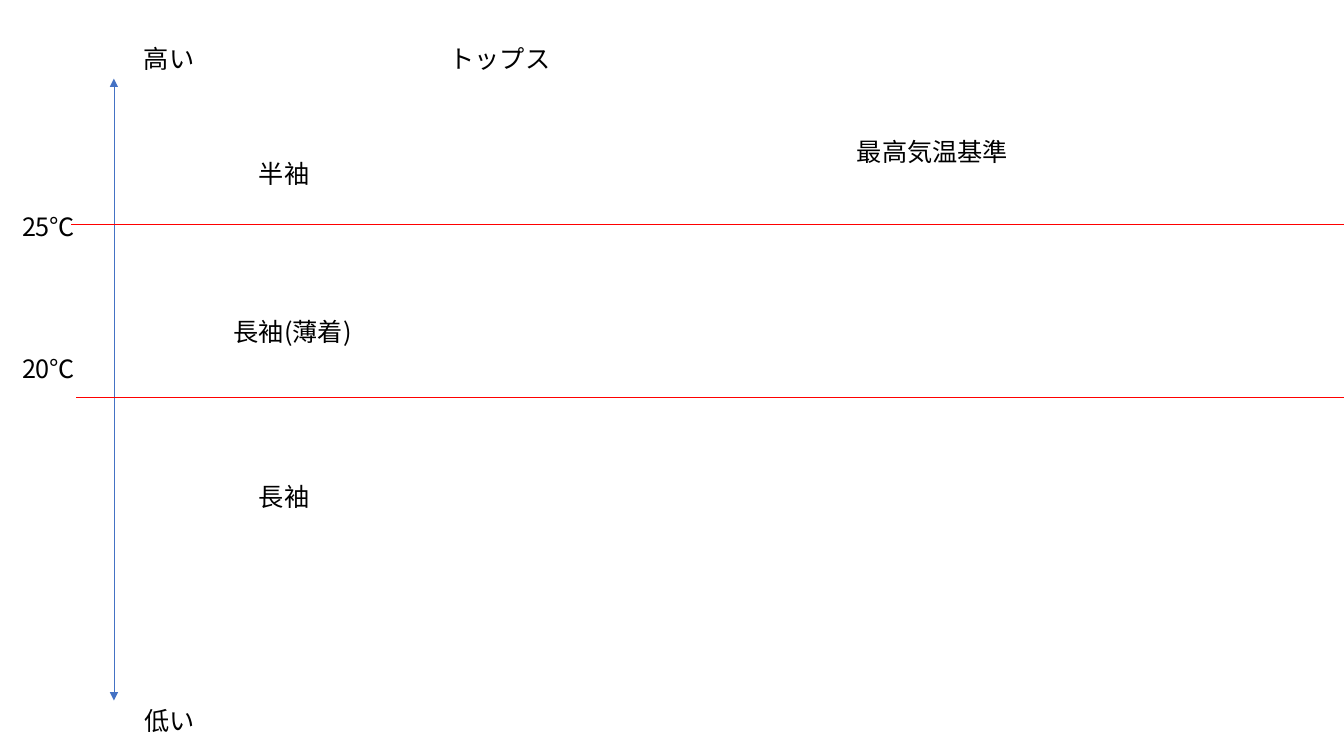
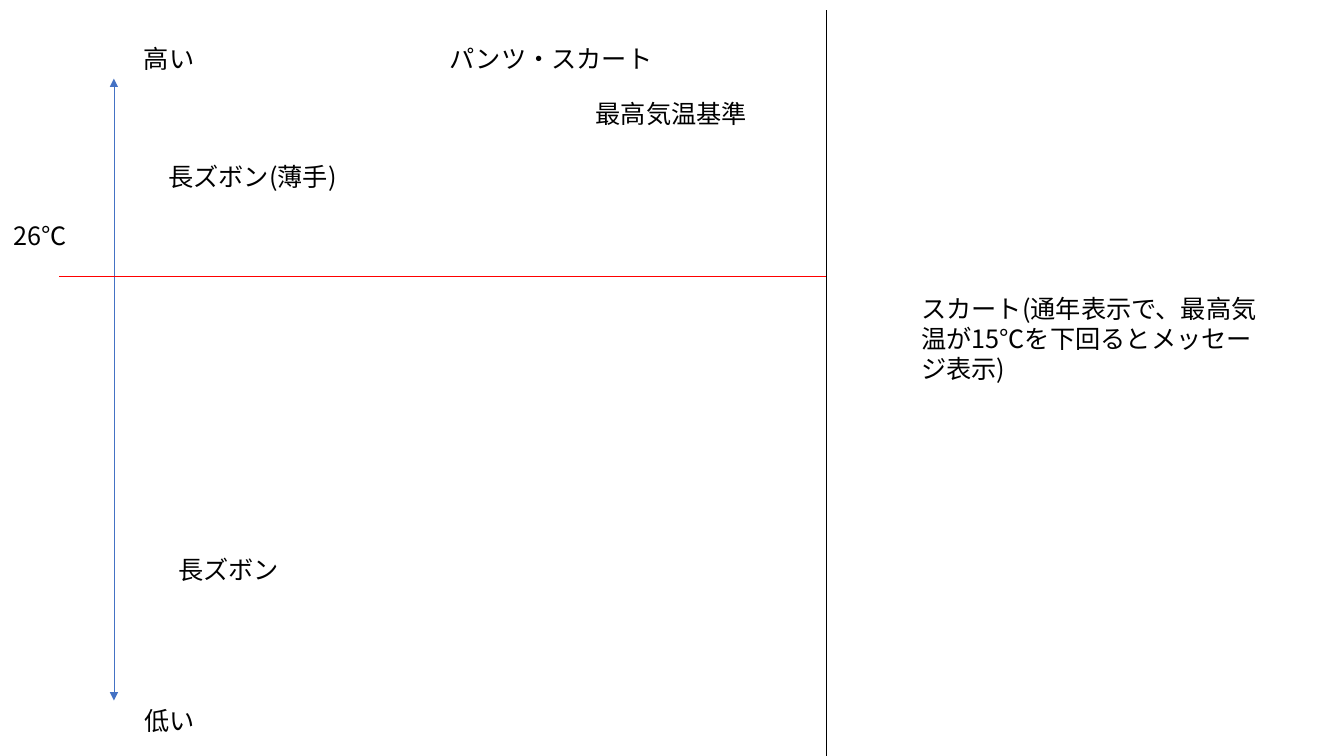
from lxml import etree
from pptx import Presentation, util as u
from pptx.dml.color import RGBColor
from pptx.enum import shapes, text
from pptx.oxml.ns import qn

WIDE, HIGH = 13.33, 7.5
FONT = "Noto Sans CJK JP"
BLACK, BLUE, RED = "000000", "4472C4", "FF0000"
AXIS, TOP, LOW = 1.13, 0.78, 6.95
SPLIT = 8.2
ROW = 0.4

deck = Presentation()
deck.slide_width, deck.slide_height = u.Inches(WIDE), u.Inches(HIGH)


def label(page, words, left, top, width, high=ROW, wrap=True):
    """Add a text box in the shared text style."""
    box = page.shapes.add_textbox(*map(u.Inches, (left, top, width, high)))
    frame = box.text_frame
    frame.text = words
    frame.word_wrap = wrap
    frame.auto_size = text.MSO_AUTO_SIZE.SHAPE_TO_FIT_TEXT
    font = frame.paragraphs[0].runs[0].font
    font.size, font.name = u.Pt(18), FONT
    font.color.rgb = RGBColor.from_string(BLACK)
    etree.SubElement(font._element, qn("a:ea")).set("typeface", FONT)


def rule(page, start, end, color, arrows=False):
    """Add a thin straight line, with arrowheads at both ends if asked."""
    line = page.shapes.add_connector(
        shapes.MSO_CONNECTOR.STRAIGHT, *map(u.Inches, start + end))
    line.line.color.rgb = RGBColor.from_string(color)
    line.line.width = u.Pt(0.5)
    props = line._element.spPr
    if arrows:
        for tip in ("a:headEnd", "a:tailEnd"):
            etree.SubElement(props.find(qn("a:ln")), qn(tip)).set("type", "triangle")
    etree.SubElement(props, qn("a:effectLst"))


# Each page: title, place of the basis note, limits, garments
# limit: words, left, top, width, then line height, line start, line end
# garment: words, left, top, width
pages = [
    ("トップス", (8.4, 1.3),
     [("25℃", 0.12, 2.05, 2.58, 2.23, 0.7, WIDE),
      ("20℃", 0.12, 3.46, 1.15, 3.94, 0.75, WIDE)],
     [("半袖", 2.47, 1.52, 2.65),
      ("長袖(薄着)", 2.22, 3.09, 1.54),
      ("長袖", 2.47, 4.73, 1.54)]),
    ("パンツ・スカート", (5.81, 0.93),
     [("26℃", 0.04, 2.14, 2.58, 2.74, 0.59, SPLIT)],
     [("長ズボン(薄手)", 1.57, 1.55, 2.65),
      ("長ズボン", 1.67, 5.45, 4.45)]),
]

for title, basis, limits, clothes in pages:
    page = deck.slides.add_slide(deck.slide_layouts[6])
    rule(page, (AXIS, TOP), (AXIS, LOW), BLUE, arrows=True)
    label(page, "高い", 1.33, TOP - ROW, 1.14)
    label(page, "低い", 1.33, LOW, 1.92)
    label(page, title, 4.36, TOP - ROW, 2.55)
    label(page, "最高気温基準", *basis, 1.72, wrap=False)
    for words, left, top, width, level, start, end in limits:
        label(page, words, left, top, width)
        rule(page, (end, level), (start, level), RED)
    for garment in clothes:
        label(page, *garment)

# The last page has a side column for skirts
label(page, "スカート(通年表示で、最高気温が15℃を下回るとメッセージ表示)",
      9.04, 2.86, 3.54, 1.01)
rule(page, (SPLIT, 0.1), (SPLIT, HIGH), BLACK)

deck.save("out.pptx")
